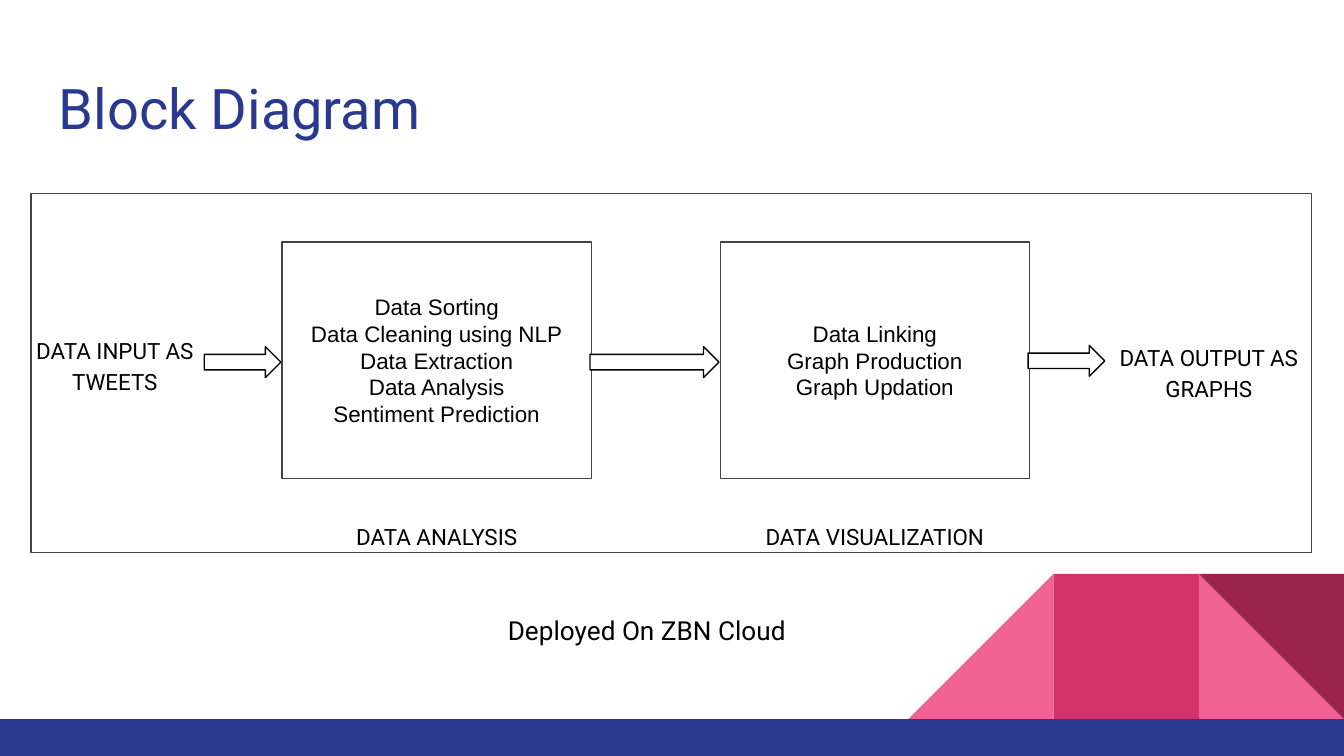
from dataclasses import dataclass

from pptx import Presentation
from pptx import util as u
from pptx.dml.color import RGBColor
from pptx.enum import shapes, text

SHAPE = shapes.MSO_SHAPE
ALIGN = text.PP_ALIGN
ANCHOR = text.MSO_ANCHOR


@dataclass(frozen=True)
class Theme:
    navy: str = "2A3990"
    pink: str = "F06292"
    rose: str = "D23369"
    wine: str = "9C254D"
    white: str = "FFFFFF"
    frame: str = "434343"
    ink: str = "000000"
    heading_font: str = "Roboto"
    block_font: str = "Arial"
    title_size: int = 30
    note_size: int = 14
    body_size: int = 12
    line_width: float = 0.75
    inset: float = 0.1


THEME = Theme()


def add_block(page, kind, box, fill, line=None):
    block = page.shapes.add_shape(kind, *(u.Inches(n) for n in box))
    block.shadow.inherit = False
    block.fill.solid()
    block.fill.fore_color.rgb = RGBColor.from_string(fill)
    if line:
        block.line.color.rgb = RGBColor.from_string(line)
        block.line.width = u.Pt(THEME.line_width)
    else:
        block.line.fill.background()
    return block


def write(shape, lines, size, font=THEME.heading_font, color=THEME.ink,
          align=ALIGN.LEFT, anchor=ANCHOR.TOP, spacing=None, after=None):
    frame = shape.text_frame
    frame.word_wrap = True
    frame.vertical_anchor = anchor
    frame.margin_left = frame.margin_right = u.Inches(THEME.inset)
    frame.margin_top = frame.margin_bottom = u.Inches(THEME.inset)
    for index, line in enumerate(lines):
        para = frame.add_paragraph() if index else frame.paragraphs[0]
        para.alignment = align
        if spacing:
            para.line_spacing = spacing
        if after:
            para.space_after = u.Pt(after)
        span = para.add_run()
        span.text = line
        span.font.name = font
        span.font.size = u.Pt(size)
        span.font.color.rgb = RGBColor.from_string(color)


def add_text(page, box, line, size, **style):
    write(page.shapes.add_textbox(*(u.Inches(n) for n in box)), [line], size, **style)


def add_footer(page, box):
    """Navy band with a row of tiles standing on its right end."""
    left, top, width, height = box
    tile, band = 1.08, 0.28
    right = left + width
    band_top = top + height - band
    tiles = [  # kind, places from the right edge, colour
        (SHAPE.RIGHT_TRIANGLE, 1, THEME.pink),
        (SHAPE.RIGHT_TRIANGLE, 3, THEME.pink),
        (SHAPE.RECTANGLE, 2, THEME.rose),
        (SHAPE.RIGHT_TRIANGLE, 1, THEME.wine),
    ]
    drawn = [add_block(page, kind, (right - place * tile, band_top - tile, tile, tile), color)
             for kind, place, color in tiles]
    # Mirror the left slope and turn the dark corner
    drawn[1]._element.spPr.get_or_add_xfrm().set("flipH", "1")
    drawn[3].rotation = 180
    add_block(page, SHAPE.RECTANGLE, (left, band_top, width, band), THEME.navy)


def add_pipeline(page, box):
    """Framed flow: input, two stages, output."""
    left, top, width, height = box
    add_block(page, SHAPE.RECTANGLE, box, THEME.white, THEME.frame)

    # Stages with their captions
    stage_width, stage_height = 2.3, 1.76
    stages = [  # offset, steps, caption, caption width
        (1.87, ["Data Sorting", "Data Cleaning using NLP", "Data Extraction",
                "Data Analysis", "Sentiment Prediction"], "DATA ANALYSIS", 1.53),
        (5.13, ["Data Linking", "Graph Production", "Graph Updation"],
         "DATA VISUALIZATION", 1.86),
    ]
    labels = []
    for offset, steps, caption, caption_width in stages:
        stage = add_block(page, SHAPE.RECTANGLE,
                          (left + offset, top + 0.36, stage_width, stage_height),
                          THEME.white, THEME.frame)
        write(stage, steps, THEME.body_size, font=THEME.block_font,
              align=ALIGN.CENTER, anchor=ANCHOR.MIDDLE)
        labels.append((offset + (stage_width - caption_width) / 2, 2.32,
                       caption_width, caption))

    # Input, output and caption labels
    labels += [(-0.14, 0.94, 1.53, "DATA INPUT AS TWEETS"),
               (8, 0.99, 1.53, "DATA OUTPUT AS GRAPHS")]
    for x, y, label_width, label in labels:
        add_text(page, (left + x, top + y, label_width, 0.5), label, THEME.body_size,
                 align=ALIGN.CENTER, spacing=1.15, after=16)

    # Flow arrows
    for x, y, length in [(1.29, 1.14, 0.57), (4.16, 1.14, 0.96), (7.42, 1.13, 0.57)]:
        add_block(page, SHAPE.RIGHT_ARROW, (left + x, top + y, length, 0.23),
                  THEME.white, THEME.ink)


def main():
    deck = Presentation()
    deck.slide_width = u.Inches(10)
    deck.slide_height = deck.slide_width * 9 // 16
    page = deck.slides.add_slide(deck.slide_layouts[6])

    add_footer(page, (0, 4.27, 10, 1.36))
    add_text(page, (0.34, 0.45, 9.32, 0.66), "Block Diagram", THEME.title_size,
             color=THEME.navy)
    add_pipeline(page, (0.23, 1.44, 9.53, 2.67))
    add_text(page, (3.68, 4.47, 2.39, 0.43), "Deployed On ZBN Cloud", THEME.note_size)

    deck.save("out.pptx")


if __name__ == "__main__":
    main()
